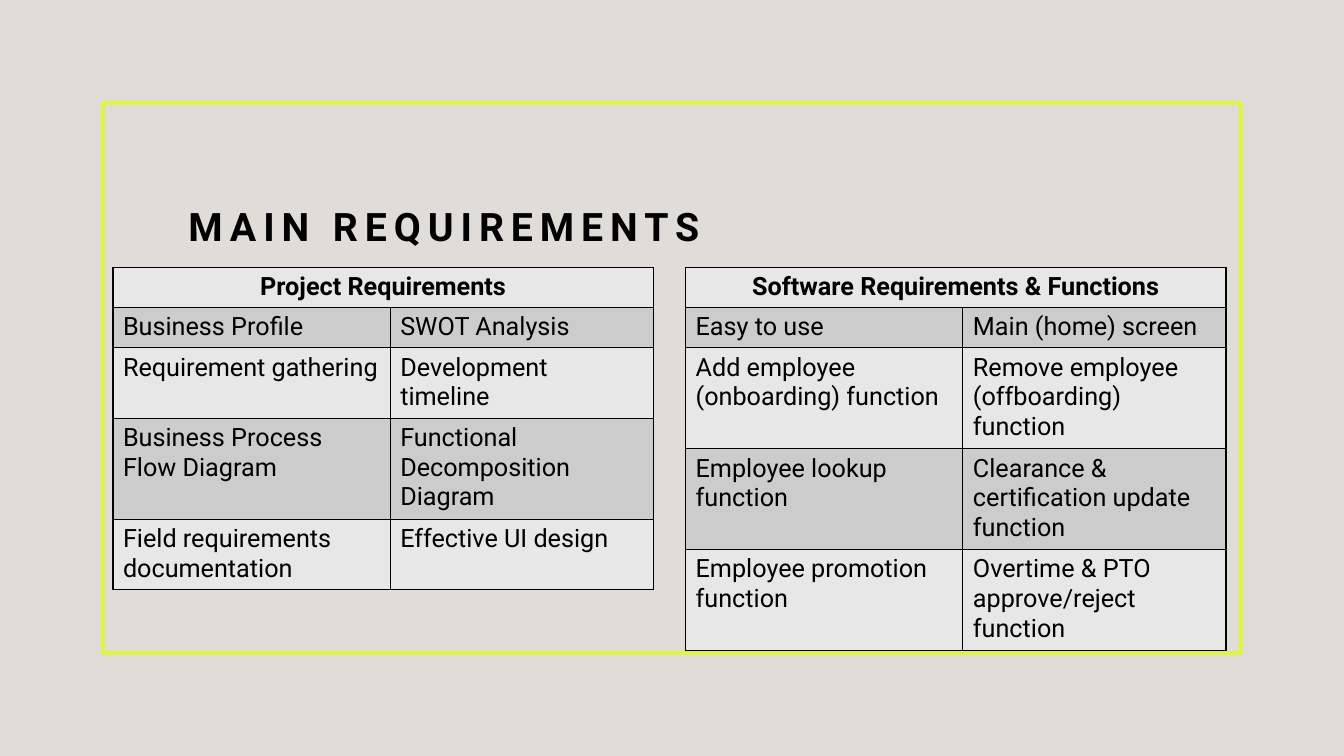
import pptx
import pptx.util
import pptx.dml.color
import pptx.enum.shapes
import pptx.enum.text
import pptx.oxml
import pptx.oxml.ns

Inches = pptx.util.Inches
Pt = pptx.util.Pt


def color(code):
    return pptx.dml.color.RGBColor.from_string(code)


def style(run, size, bold):
    run.font.name = "Roboto"
    run.font.size = Pt(size)
    run.font.bold = bold
    run.font.color.rgb = color("000000")


deck = pptx.Presentation()
deck.slide_width = Inches(13.33)
deck.slide_height = Inches(7.5)
slide = deck.slides.add_slide(deck.slide_layouts[6])
slide.background.fill.solid()
slide.background.fill.fore_color.rgb = color("E0DDD8")

frame = slide.shapes.add_shape(
    pptx.enum.shapes.MSO_SHAPE.RECTANGLE,
    Inches(1.02), Inches(1.02), Inches(11.29), Inches(5.46))
frame.shadow.inherit = False
frame.fill.background()
frame.line.color.rgb = color("E0F53D")
frame.line.width = Pt(3)

title = slide.shapes.add_textbox(
    Inches(1.77), Inches(1.35), Inches(9.82), Inches(1.17)).text_frame
title.word_wrap = True
title.vertical_anchor = pptx.enum.text.MSO_ANCHOR.BOTTOM
title.text = "MAIN REQUIREMENTS"
title.paragraphs[0].line_spacing = 1.2
run = title.paragraphs[0].runs[0]
style(run, 28, True)
run.font._element.set("spc", "500")

tables = [
    (1.12, "Project Requirements", [
        (1, "Business Profile", "SWOT Analysis"),
        (2, "Requirement gathering", "Development timeline"),
        (3, "Business Process Flow Diagram", "Functional Decomposition Diagram"),
        (2, "Field requirements documentation", "Effective UI design"),
    ]),
    (6.8, "Software Requirements & Functions", [
        (1, "Easy to use", "Main (home) screen"),
        (3, "Add employee (onboarding) function",
         "Remove employee (offboarding) function"),
        (3, "Employee lookup function",
         "Clearance & certification update function"),
        (3, "Employee promotion function",
         "Overtime & PTO approve/reject function"),
    ]),
]
widths = [2.75, 2.61]
pad, line = 0.1, 0.29
border = ('<a:{} {} w="12700"><a:solidFill><a:srgbClr val="000000"/>'
          '</a:solidFill></a:{}>')

for left, head, body in tables:
    rows = [(1, head, "")] + body
    high = sum(pad + line * row[0] for row in rows)
    grid = slide.shapes.add_table(
        len(rows), len(widths), Inches(left), Inches(2.65),
        Inches(sum(widths)), Inches(high)).table
    for col, width in zip(grid.columns, widths):
        col.width = Inches(width)
    grid.cell(0, 0).merge(grid.cell(0, 1))
    for r, (count, *words) in enumerate(rows):
        grid.rows[r].height = Inches(pad + line * count)
        for c, word in enumerate(words):
            cell = grid.cell(r, c)
            props = cell._tc.get_or_add_tcPr()
            for side in ("lnL", "lnR", "lnT", "lnB"):
                props.append(pptx.oxml.parse_xml(
                    border.format(side, pptx.oxml.ns.nsdecls("a"), side)))
            cell.fill.solid()
            cell.fill.fore_color.rgb = color("CCCCCC" if r % 2 else "E7E7E7")
            if word:
                cell.text_frame.text = word
                para = cell.text_frame.paragraphs[0]
                style(para.runs[0], 18, r == 0)
                if r == 0:
                    para.alignment = pptx.enum.text.PP_ALIGN.CENTER

deck.save("out.pptx")
